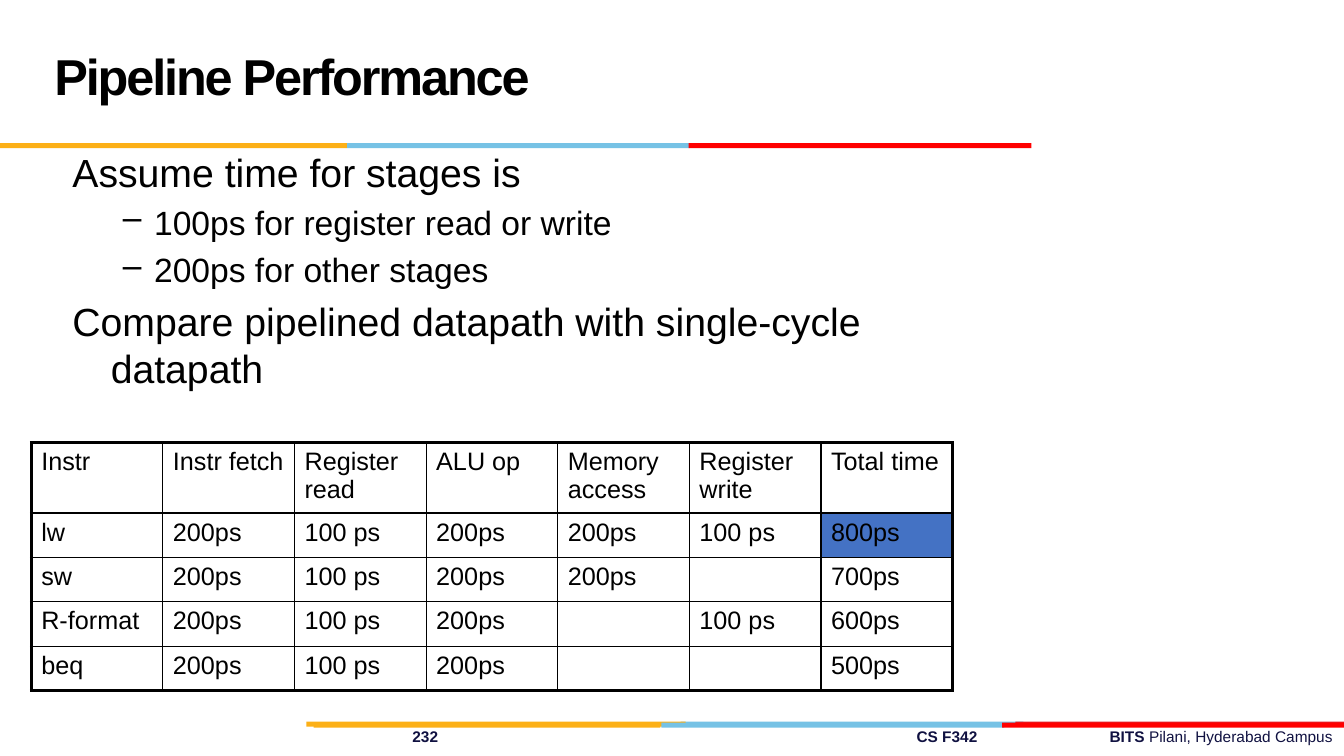
from dataclasses import dataclass

from lxml import etree
from pptx import Presentation
from pptx.dml.color import RGBColor
from pptx.enum.shapes import MSO_SHAPE
from pptx.enum.text import MSO_ANCHOR, PP_ALIGN
from pptx.oxml.ns import qn
from pptx.util import Inches, Pt

RECTANGLE = MSO_SHAPE.RECTANGLE
MIDDLE = MSO_ANCHOR.MIDDLE
LEFT = PP_ALIGN.LEFT


@dataclass(frozen=True)
class Theme:
    font: str = "Arial"
    black: str = "000000"
    navy: str = "101141"
    gold: str = "FCB017"
    sky: str = "76C2E5"
    crimson: str = "E31C24"
    red: str = "FF0000"
    highlight: str = "4472C4"
    title_size: int = 36
    body_size: int = 28
    sub_size: int = 24
    table_size: int = 18
    footer_size: int = 11
    outer_line: float = 2.25
    header_line: float = 1.5
    inner_line: float = 1


THEME = Theme()
BAR_HEIGHT = 0.05

# Each band: top, then (left, width, colour) for its bars
BANDS = [
    (7.16, [(6.75, 3.4, THEME.sky), (10.07, 3.26, THEME.crimson),
            (3.04, 3.76, THEME.gold)]),
    (7.17, [(6.56, 3.4, THEME.sky), (3.11, 3.44, THEME.gold),
            (9.94, 3.39, THEME.red)]),
    (1.42, [(3.44, 3.4, THEME.sky), (0, 3.44, THEME.gold),
            (6.83, 3.4, THEME.red)]),
]

# Body lines: text, is a sub-point
BODY_LINES = [
    ("Assume time for stages is", False),
    ("100ps for register read or write", True),
    ("200ps for other stages", True),
    ("Compare pipelined datapath with single-cycle datapath", False),
]

TIMINGS = [
    ["Instr", "Instr fetch", "Register read", "ALU op", "Memory access",
     "Register write", "Total time"],
    ["lw", "200ps", "100 ps", "200ps", "200ps", "100 ps", "800ps"],
    ["sw", "200ps", "100 ps", "200ps", "200ps", "", "700ps"],
    ["R-format", "200ps", "100 ps", "200ps", "", "100 ps", "600ps"],
    ["beq", "200ps", "100 ps", "200ps", "", "", "500ps"],
]
HIGHLIGHTED_CELL = (1, 6)


def style_font(font, size, color=THEME.black, bold=False):
    font.name = THEME.font
    font.size = Pt(size)
    font.bold = bold
    font.color.rgb = RGBColor.from_string(color)


def add_text_box(slide, left, top, width, height):
    box = slide.shapes.add_textbox(Inches(left), Inches(top), Inches(width), Inches(height))
    box.text_frame.word_wrap = True
    return box.text_frame


def add_bar(slide, left, top, width, color):
    bar = slide.shapes.add_shape(
        RECTANGLE, Inches(left), Inches(top), Inches(width), Inches(BAR_HEIGHT))
    bar.shadow.inherit = False
    bar.fill.solid()
    bar.fill.fore_color.rgb = RGBColor.from_string(color)
    bar.line.fill.background()


def add_footer(slide):
    text_frame = add_text_box(slide, 0.22, 7.16, 13.11, 0.29)
    text_frame.margin_left = Inches(3.87)
    paragraph = text_frame.paragraphs[0]
    paragraph.alignment = LEFT
    tabs = etree.SubElement(paragraph._p.get_or_add_pPr(), qn("a:tabLst"))
    for position, alignment in [(5, "l"), (9.13, "r")]:
        etree.SubElement(tabs, qn("a:tab"), pos=str(Inches(position)), algn=alignment)
    for text, bold in [("232\tCS F342\tBITS ", True), ("Pilani, Hyderabad Campus", False)]:
        run = paragraph.add_run()
        run.text = text
        style_font(run.font, THEME.footer_size, THEME.navy, bold)


def add_title(slide, text):
    text_frame = add_text_box(slide, 0.44, 0.17, 9.22, 1.25)
    text_frame.vertical_anchor = MIDDLE
    paragraph = text_frame.paragraphs[0]
    paragraph.text = text
    paragraph.line_spacing = Pt(THEME.title_size)
    run = paragraph.runs[0]
    style_font(run.font, THEME.title_size, bold=True)
    run.font._element.set("spc", "-150")


def add_body(slide):
    text_frame = add_text_box(slide, 0.62, 1.42, 9.05, 2.77)
    text_frame.text = "\n".join(text for text, _ in BODY_LINES)
    for index, (paragraph, (_, is_sub)) in enumerate(zip(text_frame.paragraphs, BODY_LINES)):
        size = THEME.sub_size if is_sub else THEME.body_size
        margin, hanging = (0.81, 0.31) if is_sub else (0.38, 0.38)
        paragraph.level = int(is_sub)
        if index:
            paragraph.space_before = Pt(size * 0.2)
        properties = paragraph._p.get_or_add_pPr()
        properties.set("marL", str(Inches(margin)))
        properties.set("indent", str(-Inches(hanging)))
        if is_sub:
            etree.SubElement(properties, qn("a:buChar"), char="–")
        else:
            etree.SubElement(properties, qn("a:buNone"))
        style_font(paragraph.runs[0].font, size)


def set_borders(cell, widths):
    properties = cell._tc.get_or_add_tcPr()
    for index, (side, width) in enumerate(widths.items()):
        line = etree.Element(qn(f"a:ln{side}"), w=str(Pt(width)))
        fill = etree.SubElement(line, qn("a:solidFill"))
        etree.SubElement(fill, qn("a:srgbClr"), val=THEME.black)
        properties.insert(index, line)


def add_timing_table(slide):
    last_row, last_column = len(TIMINGS) - 1, len(TIMINGS[0]) - 1
    frame = slide.shapes.add_table(
        last_row + 1, last_column + 1, Inches(0.31), Inches(4.39), Inches(9.14), Inches(2.46))
    table = frame.table
    for index, row in enumerate(table.rows):
        row.height = Inches(0.44 if index else 0.7)

    # Heavy outer frame, medium rule under the header, thin lines inside
    outer, header, inner = THEME.outer_line, THEME.header_line, THEME.inner_line
    row_lines = [outer, header] + [inner] * (last_row - 1) + [outer]
    column_lines = [outer] + [inner] * last_column + [outer]
    for r, values in enumerate(TIMINGS):
        for c, value in enumerate(values):
            cell = table.cell(r, c)
            cell.text = value
            for run in cell.text_frame.paragraphs[0].runs:
                style_font(run.font, THEME.table_size)
            if (r, c) == HIGHLIGHTED_CELL:
                cell.fill.solid()
                cell.fill.fore_color.rgb = RGBColor.from_string(THEME.highlight)
            else:
                cell.fill.background()
            set_borders(cell, {"L": column_lines[c], "R": column_lines[c + 1],
                               "T": row_lines[r], "B": row_lines[r + 1]})


def main():
    presentation = Presentation()
    presentation.slide_width = Inches(13.33)
    presentation.slide_height = Inches(7.5)
    slide = presentation.slides.add_slide(presentation.slide_layouts[6])

    # Footer and coloured bands
    add_footer(slide)
    for top, bars in BANDS:
        for left, width, color in bars:
            add_bar(slide, left, top, width, color)

    # Content
    add_title(slide, "Pipeline Performance")
    add_body(slide)
    add_timing_table(slide)
    presentation.save("out.pptx")


if __name__ == "__main__":
    main()
